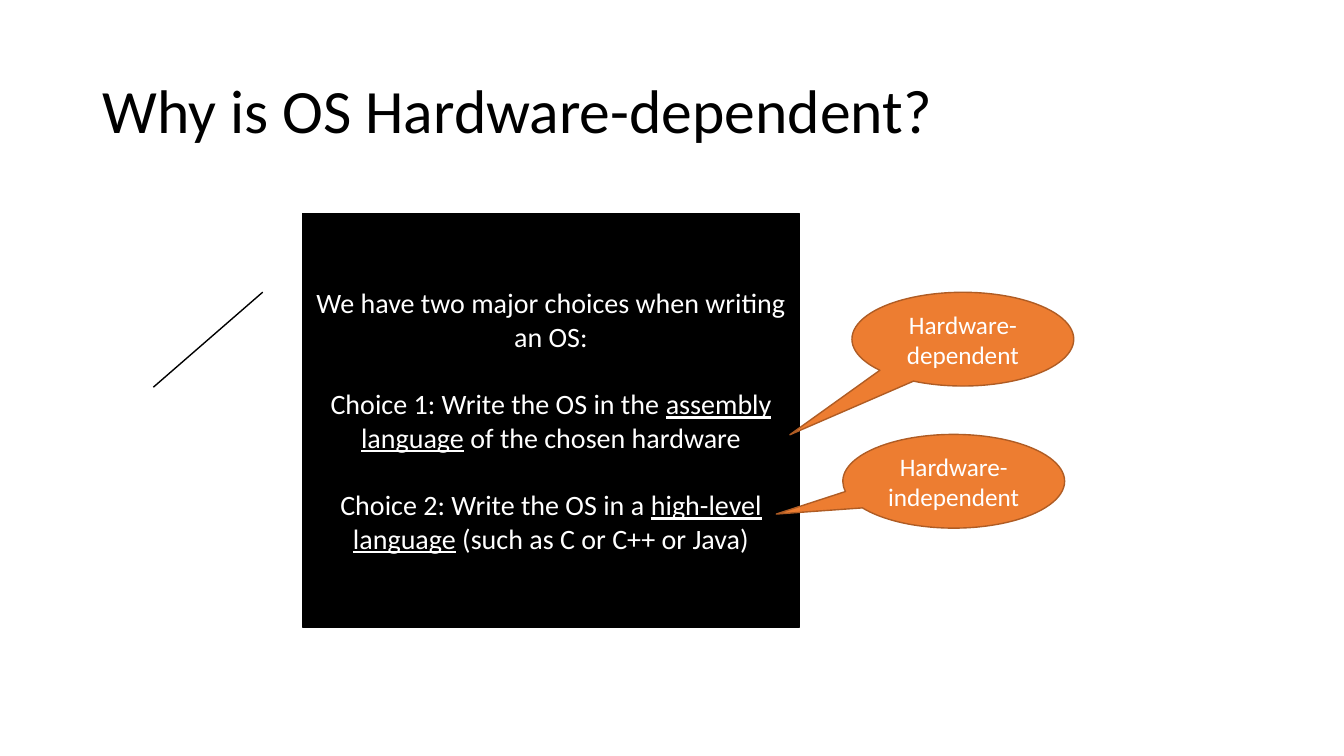
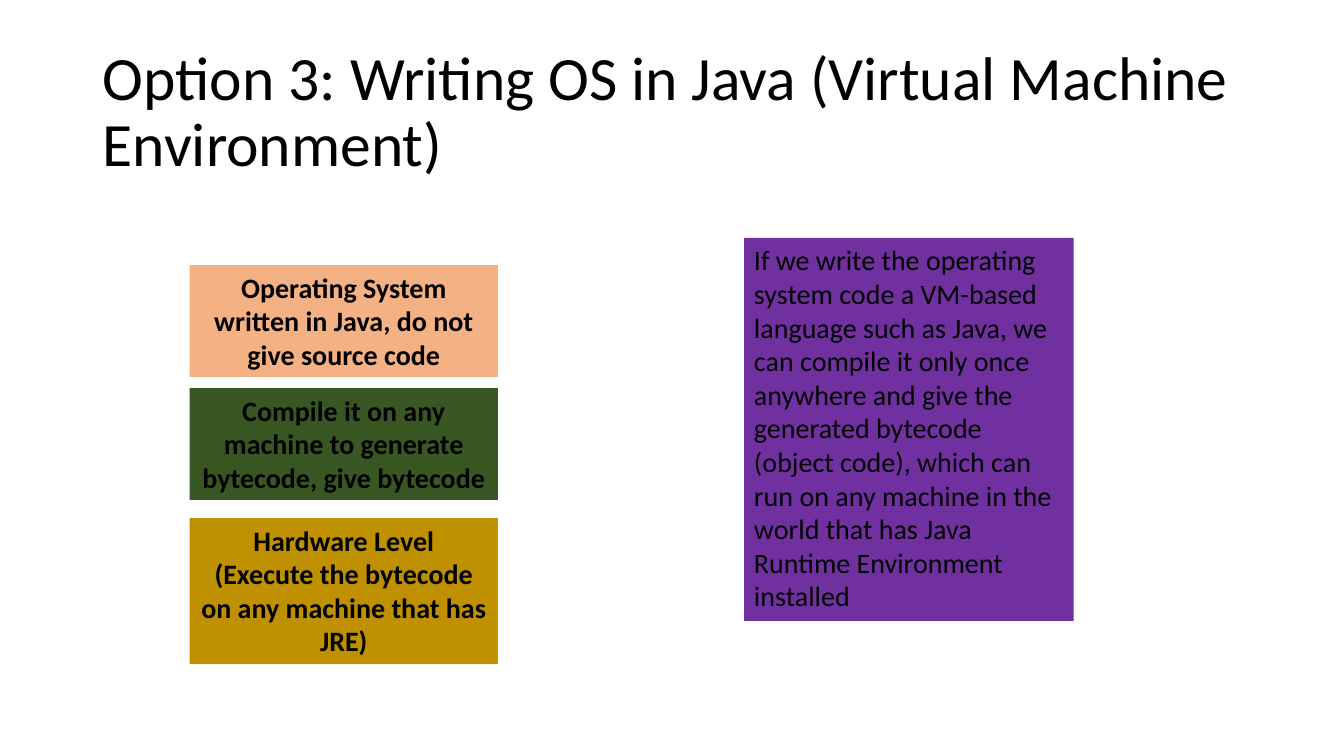
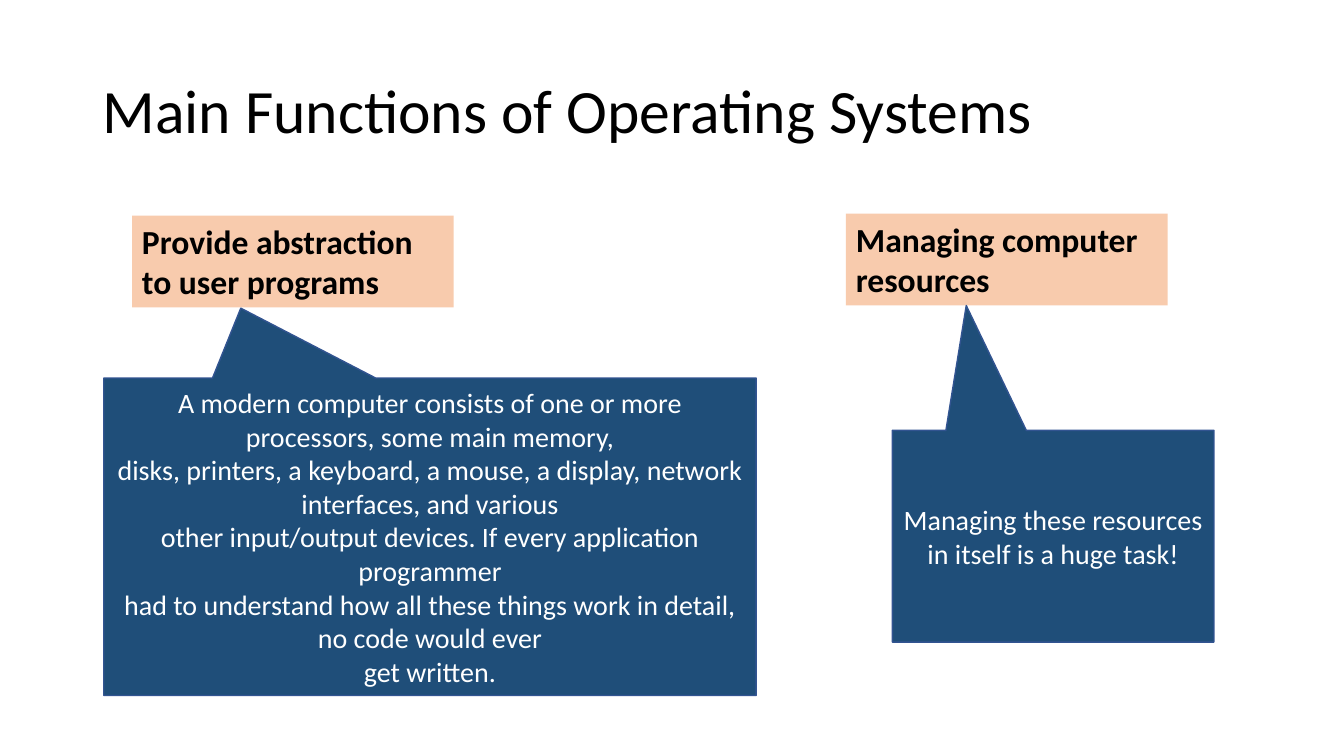
from pptx import Presentation
from pptx.dml.color import RGBColor
from pptx.enum.shapes import MSO_SHAPE
from pptx.enum.text import MSO_ANCHOR, PP_ALIGN
from pptx.util import Inches, Pt

FONT = "Calibri"
BLACK = RGBColor(0x00, 0x00, 0x00)
WHITE = RGBColor(0xFF, 0xFF, 0xFF)
ORANGE = RGBColor(0xED, 0x7D, 0x31)
DARK_ORANGE = RGBColor(0xAF, 0x5C, 0x24)
GOLD = RGBColor(0xBF, 0x90, 0x00)
PEACH = RGBColor(0xF4, 0xB1, 0x83)
LIGHT_PEACH = RGBColor(0xF8, 0xCB, 0xAD)
PURPLE = RGBColor(0x70, 0x30, 0xA0)
GREEN = RGBColor(0x38, 0x57, 0x23)
NAVY = RGBColor(0x1F, 0x4E, 0x79)
BLUE = RGBColor(0x32, 0x54, 0x91)


class Deck:
    """Holds the shared style and the slide being built."""

    def __init__(self):
        self.presentation = Presentation()
        self.presentation.slide_width = Inches(13.33)
        self.presentation.slide_height = Inches(7.5)
        self.slide = None

    def add_slide(self, title):
        layout = self.presentation.slide_layouts[6]
        self.slide = self.presentation.slides.add_slide(layout)
        box = self.slide.shapes.add_textbox(
            Inches(0.92), Inches(0.4), Inches(11.5), Inches(1.45))
        self.set_text(box, [title], 44, BLACK, PP_ALIGN.LEFT, MSO_ANCHOR.MIDDLE)
        box.text_frame.paragraphs[0].line_spacing = 0.9

    def set_text(self, shape, lines, size, color, align, anchor,
                 bold=False, gap=0):
        """Add one paragraph a line; words between underscores are underlined."""
        frame = shape.text_frame
        frame.word_wrap = True
        frame.vertical_anchor = anchor
        for index, line in enumerate(lines):
            paragraph = frame.paragraphs[0] if index == 0 else frame.add_paragraph()
            paragraph.alignment = align
            paragraph.space_before = Pt(gap if index else 0)
            font = paragraph.font
            font.name, font.size, font.bold = FONT, Pt(size), bold
            font.color.rgb = color
            for part, text in enumerate(line.split("_")):
                run = paragraph.add_run()
                run.text = text
                if part % 2:
                    run.font.underline = True

    def add_shape(self, kind, place, fill, line=None):
        shape = self.slide.shapes.add_shape(kind, *map(Inches, place))
        shape.shadow.inherit = False
        shape.fill.solid()
        shape.fill.fore_color.rgb = fill
        if line is None:
            shape.line.fill.background()
        else:
            shape.line.color.rgb = line
            shape.line.width = Pt(1)
        return shape

    def add_label(self, place, fill, lines, size=20, align=PP_ALIGN.LEFT,
                  bold=True):
        shape = self.add_shape(MSO_SHAPE.RECTANGLE, place, fill)
        self.set_text(shape, lines, size, BLACK, align, MSO_ANCHOR.TOP, bold)

    def add_callout(self, kind, place, pointer, fill, line, lines, size=20,
                    gap=0):
        shape = self.add_shape(kind, place, fill, line)
        for index, value in enumerate(pointer):
            shape.adjustments[index] = value
        self.set_text(shape, lines, size, WHITE, PP_ALIGN.CENTER,
                      MSO_ANCHOR.MIDDLE, gap=gap)


def build_hardware_slide(deck):
    deck.add_slide("Why is OS Hardware-dependent?")
    # Choices panel
    deck.add_callout(
        MSO_SHAPE.LINE_CALLOUT_1, (3, 2.12, 4.93, 4.1),
        (0.19, -0.08, 0.42, -0.3), BLACK, BLACK,
        ["We have two major choices when writing an OS:",
         "Choice 1: Write the OS in the _assembly language_ of the chosen hardware",
         "Choice 2: Write the OS in a _high-level language_ (such as C or C++ or Java)"],
        gap=24)
    # Remarks on each choice
    for left, top, pointer, text in (
            (8.36, 4.31, (-0.8, 0.35), "Hardware-independent"),
            (8.45, 2.9, (-0.78, 1.02), "Hardware-dependent")):
        deck.add_callout(MSO_SHAPE.OVAL_CALLOUT, (left, top, 2.2, 0.93),
                         pointer, ORANGE, DARK_ORANGE, [text], size=18)


def build_java_slide(deck):
    deck.add_slide("Option 3: Writing OS in Java (Virtual Machine Environment)")
    # Levels from source code to hardware
    for top, height, fill, lines in (
            (2.63, 1.11, PEACH,
             ["Operating System written in Java, do not give source code"]),
            (3.85, 1.11, GREEN,
             ["Compile it on any machine to generate bytecode, give bytecode"]),
            (5.14, 1.45, GOLD,
             ["Hardware Level",
              "(Execute the bytecode on any machine that has JRE)"])):
        deck.add_label((1.88, top, 3.06, height), fill, lines,
                       align=PP_ALIGN.CENTER)
    # Explanation
    deck.add_label(
        (7.38, 2.36, 3.27, 3.8), PURPLE,
        ["If we write the operating system code a VM-based language such as "
         "Java, we can compile it only once anywhere and give the generated "
         "bytecode (object code), which can run on any machine in the world "
         "that has Java Runtime Environment installed"], bold=False)


def build_functions_slide(deck):
    deck.add_slide("Main Functions of Operating Systems")
    # Function names
    for left, top, text in (
            (1.31, 2.14, "Provide abstraction to user programs"),
            (8.39, 2.12, "Managing computer resources")):
        deck.add_label((left, top, 3.19, 0.91), LIGHT_PEACH, [text], size=24)
    # Explanations pointing at the names
    for place, pointer, lines in (
            ((1.03, 3.75, 6.47, 3.15), (-0.29, -0.72),
             ["A modern computer consists of one or more processors, some main memory,",
              "disks, printers, a keyboard, a mouse, a display, network interfaces, and various",
              "other input/output devices. If every application programmer",
              "had to understand how all these things work in detail, no code would ever",
              "get written."]),
            ((8.85, 4.27, 3.19, 2.1), (-0.27, -1.09),
             ["Managing these resources in itself is a huge task!"])):
        deck.add_callout(MSO_SHAPE.RECTANGULAR_CALLOUT, place, pointer,
                         NAVY, BLUE, lines)


def main():
    deck = Deck()
    build_hardware_slide(deck)
    build_java_slide(deck)
    build_functions_slide(deck)
    deck.presentation.save("out.pptx")


if __name__ == "__main__":
    main()
